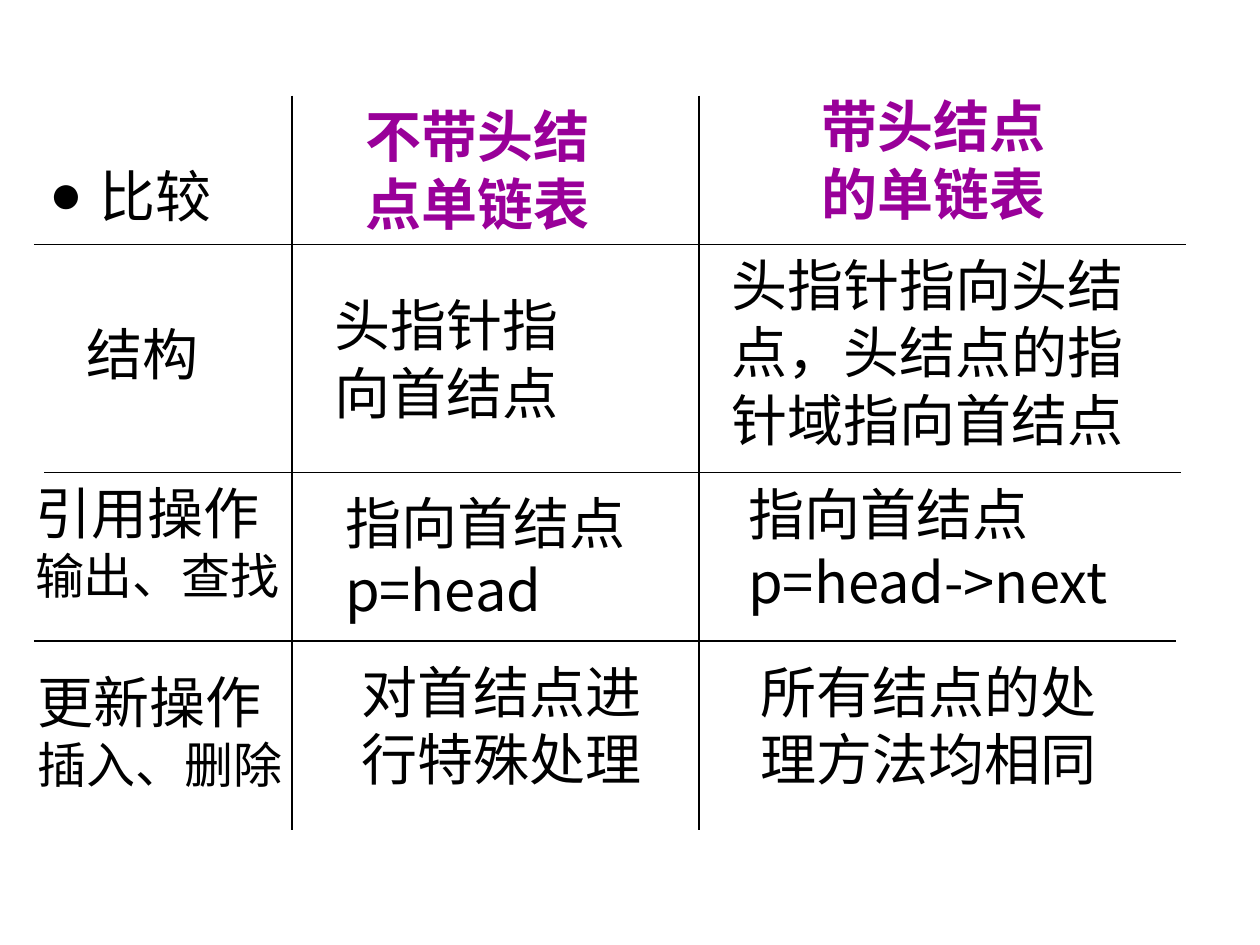
import dataclasses
import typing

import pptx
import pptx.dml.color
import pptx.enum.shapes
import pptx.enum.text
import pptx.oxml.ns
import pptx.util
from lxml import etree

PX = 9144
BLACK, PURPLE = "000000", "990099"
SERIF, SANS = "Times New Roman", "Noto Sans CJK SC"
COLUMNS = (232, 555)


@dataclasses.dataclass(frozen=True)
class Rule:
    """A straight line of the grid."""
    x1: int
    y1: int
    x2: int
    y2: int


@dataclasses.dataclass(frozen=True)
class Cell:
    """A block of text, with one size for each paragraph."""
    left: int
    top: int
    width: int
    height: int
    lines: tuple[str, ...]
    sizes: tuple[int, ...] = (32, 32)
    font: str = SERIF
    color: str = BLACK
    bold: bool = False
    wrap: bool = True


RULES = (
    Rule(27, 194, 941, 194),
    *(Rule(x, 76, x, 659) for x in COLUMNS),
    Rule(35, 375, 937, 375),
    Rule(27, 509, 933, 509),
)
HEADING = Cell(29, 123, 971, 64, ("比较",), font=SANS)
CELLS = (
    Cell(59, 249, 109, 64, ("结构",), wrap=False),
    Cell(642, 68, 213, 117, ("带头结点的单链表",), color=PURPLE, bold=True),
    Cell(280, 76, 236, 117, ("不带头结点单链表",), color=PURPLE, bold=True),
    Cell(256, 226, 220, 117, ("头指针指向首结点",)),
    Cell(571, 194, 347, 170, ("头指针指向头结点，头结点的指针域指向首结点",)),
    Cell(18, 375, 214, 110, ("引用操作", "输出、查找"), (32, 28), wrap=False),
    Cell(264, 383, 242, 117, ("指向首结点", "p=head"), font=SANS, wrap=False),
    Cell(584, 376, 307, 117, ("指向首结点", "p=head->next"), font=SANS, wrap=False),
    Cell(20, 525, 214, 110, ("更新操作", "插入、删除"), (32, 28), wrap=False),
    Cell(277, 517, 262, 117, ("对首结点进行特殊处理",)),
    Cell(594, 517, 315, 117, ("所有结点的处理方法均相同",)),
)


def px(length: int) -> pptx.util.Emu:
    """Turn px into EMU."""
    return pptx.util.Emu(length * PX)


def rgb(color: str) -> pptx.dml.color.RGBColor:
    """Turn a hex string into a colour."""
    return pptx.dml.color.RGBColor.from_string(color)


def add_child(parent: typing.Any, tag: str, **attributes: str) -> typing.Any:
    """Append an XML element with a prefixed tag."""
    return etree.SubElement(parent, pptx.oxml.ns.qn(tag), attributes)


def add_bullet(para: typing.Any) -> None:
    """Give a paragraph a round bullet and a hanging indent."""
    properties = para._p.get_or_add_pPr()
    properties.set("marL", str(px(40)))
    properties.set("indent", str(px(-40)))
    add_child(add_child(properties, "a:buClr"), "a:srgbClr", val=BLACK)
    add_child(properties, "a:buFont", typeface=SERIF)
    add_child(properties, "a:buChar", char="●")


def fill_text(box: typing.Any, cell: Cell, bullet: bool = False) -> None:
    """Write and format the paragraphs of a cell."""
    frame = box.text_frame
    frame.text = "\n".join(cell.lines)
    frame.word_wrap = cell.wrap
    frame.auto_size = pptx.enum.text.MSO_AUTO_SIZE.NONE
    frame.vertical_anchor = pptx.enum.text.MSO_ANCHOR.TOP
    frame.margin_left = frame.margin_right = px(10)
    frame.margin_top = frame.margin_bottom = px(5)
    for para, size in zip(frame.paragraphs, cell.sizes):
        para.space_before = pptx.util.Pt(0)
        if bullet:
            add_bullet(para)
        para.font.size = pptx.util.Pt(size)
        para.font.bold = cell.bold
        para.font.color.rgb = rgb(cell.color)
        para.font.name = cell.font
        defaults = para._p.pPr.find(pptx.oxml.ns.qn("a:defRPr"))
        add_child(defaults, "a:ea", typeface=SANS)


def draw_heading(page: typing.Any, cell: Cell) -> None:
    """Put the bulleted heading in the body placeholder."""
    body = page.placeholders[1]
    body.left, body.top = px(cell.left), px(cell.top)
    body.width, body.height = px(cell.width), px(cell.height)
    fill_text(body, cell, bullet=True)


def draw_cell(page: typing.Any, cell: Cell) -> None:
    """Add a text box for a cell."""
    box = page.shapes.add_textbox(
        px(cell.left), px(cell.top), px(cell.width), px(cell.height))
    fill_text(box, cell)


def draw_rule(page: typing.Any, rule: Rule) -> None:
    """Add a thin black line."""
    line = page.shapes.add_connector(
        pptx.enum.shapes.MSO_CONNECTOR.STRAIGHT,
        px(rule.x1), px(rule.y1), px(rule.x2), px(rule.y2))
    line.line.color.rgb = rgb(BLACK)
    line.line.width = pptx.util.Pt(1)
    add_child(line._element.spPr, "a:effectLst")


def main() -> None:
    """Build the comparison slide."""
    deck = pptx.Presentation()
    deck.slide_width, deck.slide_height = px(1000), px(750)
    page = deck.slides.add_slide(deck.slide_layouts[1])
    title = page.shapes.title._element
    title.getparent().remove(title)
    draw_heading(page, HEADING)
    for rule in RULES:
        draw_rule(page, rule)
    for cell in CELLS:
        draw_cell(page, cell)
    deck.save("out.pptx")


if __name__ == "__main__":
    main()
